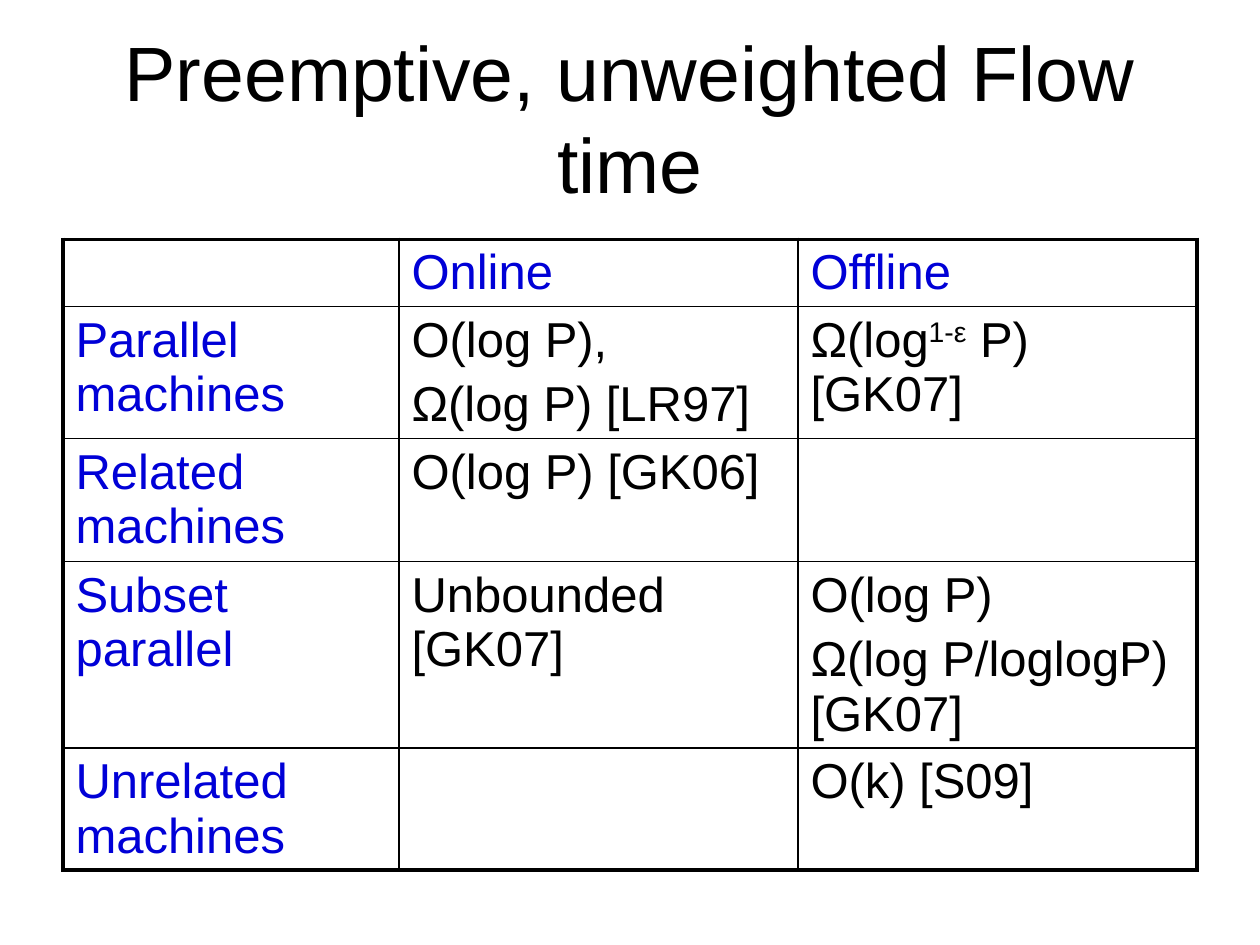
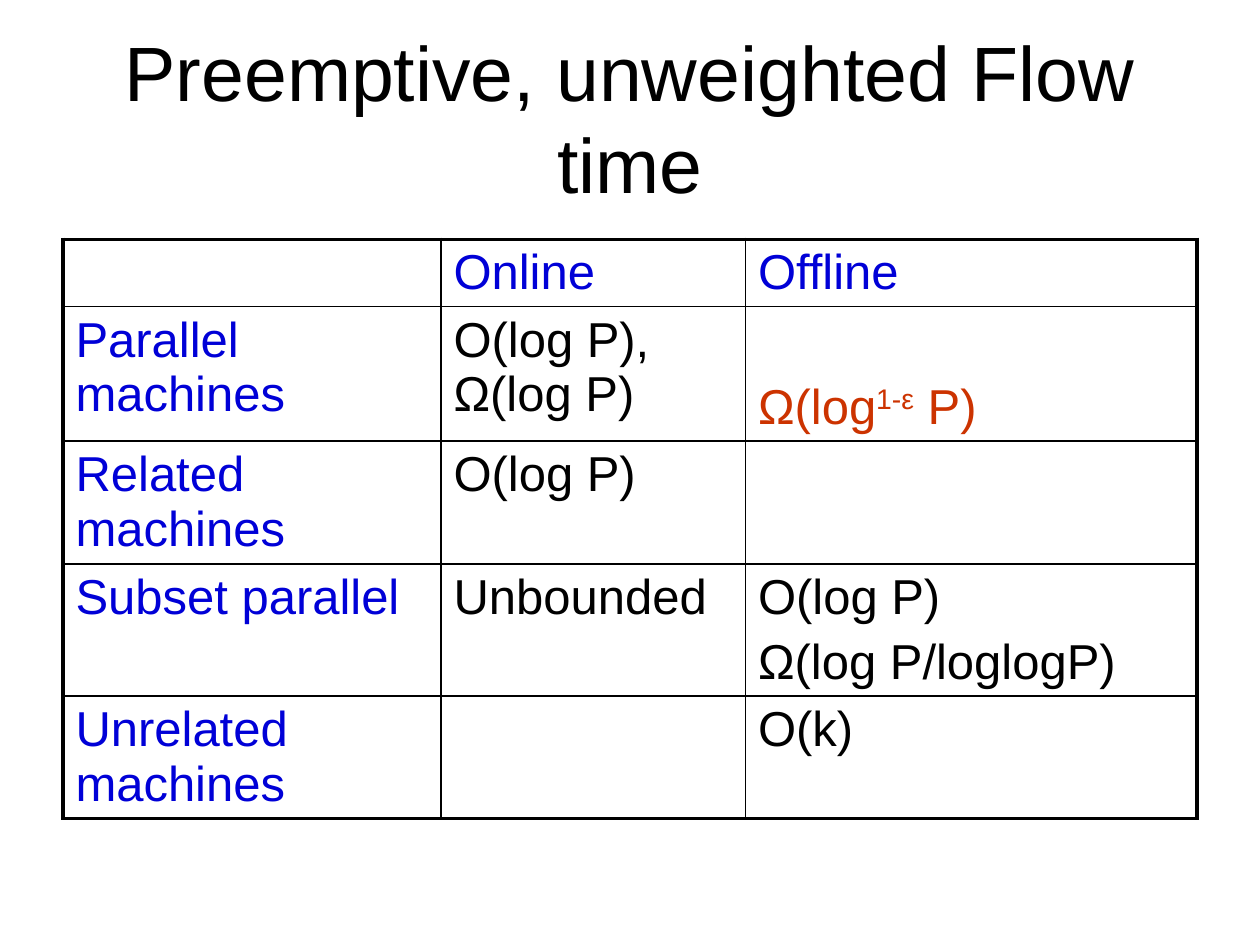
from dataclasses import dataclass

from pptx import Presentation
from pptx.dml.color import RGBColor
from pptx.enum.text import MSO_ANCHOR, MSO_AUTO_SIZE, PP_ALIGN
from pptx.oxml.ns import qn
from pptx.util import Pt
from lxml import etree

TOP, MIDDLE, BOTTOM = MSO_ANCHOR.TOP, MSO_ANCHOR.MIDDLE, MSO_ANCHOR.BOTTOM
CENTER, LEFT = PP_ALIGN.CENTER, PP_ALIGN.LEFT
NO_FIT = MSO_AUTO_SIZE.NONE
TITLE_ONLY = 5


@dataclass(frozen=True)
class Theme:
    font: str = "Arial"
    ink: str = "000000"
    head: str = "0000D7"
    hot: str = "CC3300"
    title: float = 44
    body: float = 28
    gap: float = 5.6      # space before a paragraph, 20% of the body size
    thin: float = 1
    thick: float = 2.25


THEME = Theme()
TITLE = "Preemptive, unweighted Flow time"
TITLE_BOX = (36, 21.6, 648, 90)
TABLE_AT = (36, 136.8)
HEADS = ["Online", "Offline"]
KINDS = ["Parallel machines", "Related machines", "Subset parallel",
         "Unrelated machines"]

# A cell is a list of paragraphs, a paragraph a list of runs; ^ marks superscript
CITED = [
    [[["O(log P),"], ["Ω(log P) [LR97]"]],
     [["Ω(log", "^1-ε", " P) [GK07]"]]],
    [[["O(log P) [GK06]"]], []],
    [[["Unbounded [GK07]"]],
     [["O(log P)"], ["Ω(log P/loglogP) [GK07]"]]],
    [[], [["O(k) [S09]"]]],
]
BOUNDS = [
    [[["O(log P), Ω(log P)"]], [["Ω(log", "^1-ε", " P)"]]],
    [[["O(log P)"]], []],
    [[["Unbounded"]], [["O(log P)"], ["Ω(log P/loglogP)"]]],
    [[], [["O(k)"]]],
]


def add_run(para, text, size, color):
    run = para.add_run()
    run.text = text.removeprefix("^")
    run.font.name = THEME.font
    run.font.size = Pt(size)
    run.font.color.rgb = RGBColor.from_string(color)
    if text.startswith("^"):
        run.font._element.set("baseline", "30000")


def add_title(slide, box):
    shape = slide.shapes.title
    shape.left, shape.top, shape.width, shape.height = map(Pt, box)
    frame = shape.text_frame
    frame.word_wrap = True
    frame.auto_size = NO_FIT
    frame.vertical_anchor = MIDDLE
    para = frame.paragraphs[0]
    para.alignment = CENTER
    add_run(para, TITLE, THEME.title, THEME.ink)


def set_edges(cell, edges):
    """Draw the cell borders; edges maps a side (L, R, T, B) to a width."""
    props = cell._tc.get_or_add_tcPr()
    for side, width in edges.items():
        line = etree.SubElement(props, qn(f"a:ln{side}"), w=str(Pt(width)))
        fill = etree.SubElement(line, qn("a:solidFill"))
        etree.SubElement(fill, qn("a:srgbClr"), val=THEME.ink)


def fill_cell(cell, paras, color, anchor):
    cell.vertical_anchor = anchor
    frame = cell.text_frame
    for i, runs in enumerate(paras):
        para = frame.add_paragraph() if i else frame.paragraphs[0]
        para.alignment = LEFT
        para.space_before = Pt(THEME.gap)
        for text in runs:
            add_run(para, text, THEME.body, color)


def add_grid(slide, spot, cols, rows, body, hot=None):
    """Table of results; the hot cell is tinted and sits at the bottom."""
    cells = [[[]] + [[[head]] for head in HEADS]]
    cells += [[[[kind]]] + row for kind, row in zip(KINDS, body)]
    box = (*spot, sum(cols), sum(rows))
    table = slide.shapes.add_table(len(rows), len(cols), *map(Pt, box)).table
    table.first_row = table.horz_banding = False
    for col, width in zip(table.columns, cols):
        col.width = Pt(width)
    for row, height in zip(table.rows, rows):
        row.height = Pt(height)

    end_row, end_col = len(rows) - 1, len(cols) - 1
    for r, line in enumerate(cells):
        for c, paras in enumerate(line):
            cell = table.cell(r, c)
            # Thick frame outside, thin rules inside
            outer = {"L": c == 0, "R": c == end_col,
                     "T": r == 0, "B": r == end_row}
            set_edges(cell, {side: THEME.thick if out else THEME.thin
                             for side, out in outer.items()})
            cell.fill.background()
            color = THEME.ink if r and c else THEME.head
            anchor = TOP
            if (r, c) == hot:
                color, anchor = THEME.hot, BOTTOM
            fill_cell(cell, paras, color, anchor)


def add_slide(deck, cols, rows, body, hot=None):
    slide = deck.slides.add_slide(deck.slide_layouts[TITLE_ONLY])
    add_title(slide, TITLE_BOX)
    add_grid(slide, TABLE_AT, cols, rows, body, hot)


deck = Presentation()
deck.slide_width, deck.slide_height = Pt(720), Pt(540)

# Results with their sources
add_slide(deck, [192, 228, 228], [38.4, 75.4, 70.4, 106.4, 69.8], CITED)
# Results alone, with the open gap picked out
add_slide(deck, [216, 174, 258], [38.4, 76.8, 70.4, 75.4, 69.8], BOUNDS,
          hot=(1, 2))

deck.save("out.pptx")
